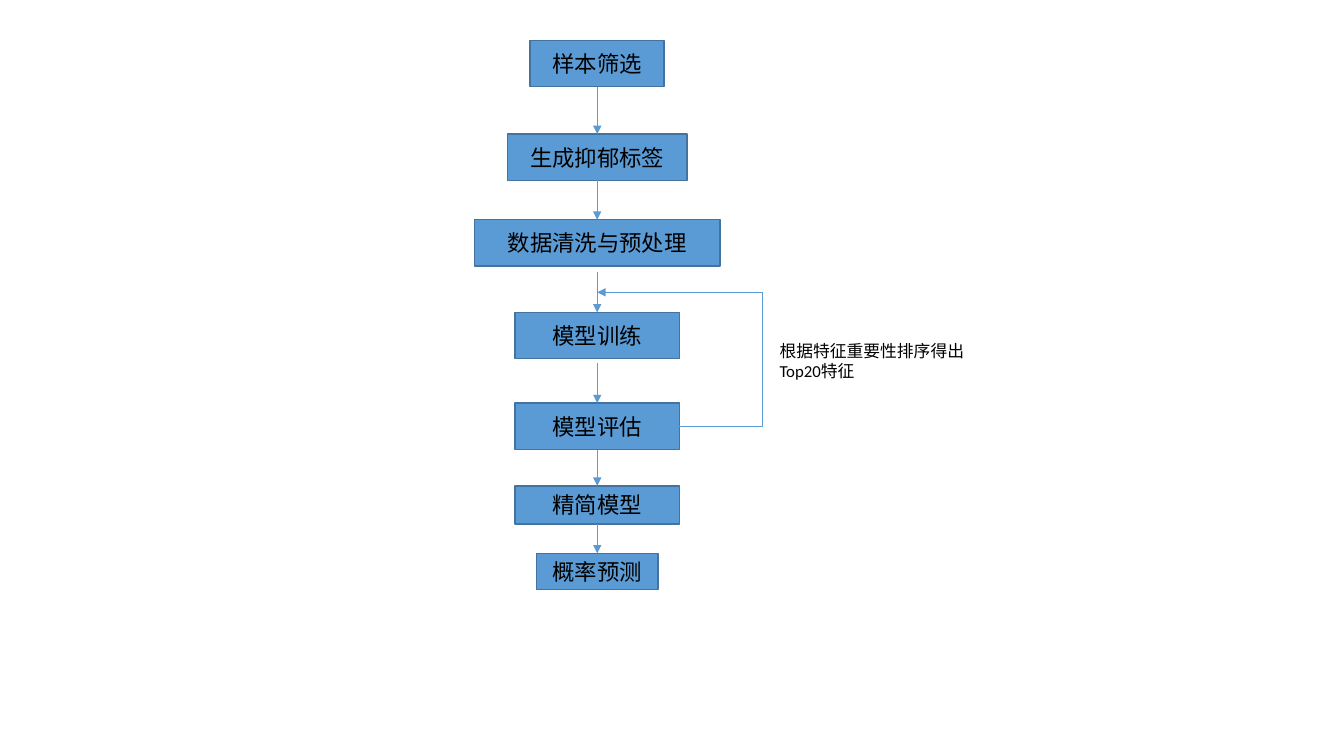
from collections import namedtuple

from lxml import etree
from pptx import Presentation
from pptx.dml.color import RGBColor
from pptx.enum.shapes import MSO_CONNECTOR, MSO_SHAPE
from pptx.enum.text import MSO_ANCHOR, PP_ALIGN
from pptx.oxml.ns import qn
from pptx.util import Inches, Pt

RECTANGLE = MSO_SHAPE.RECTANGLE
STRAIGHT, ELBOW = MSO_CONNECTOR.STRAIGHT, MSO_CONNECTOR.ELBOW
MIDDLE, CENTER = MSO_ANCHOR.MIDDLE, PP_ALIGN.CENTER
FONT = "Calibri"
BLUE, EDGE, BLACK = "5B9BD5", "43739E", "000000"

# All lengths are columns and rows of a grid with ten cells to the inch.
COLUMNS, ROWS = 133.33, 75
Box = namedtuple("Box", "left top width height")
Step = namedtuple("Step", "label top width height gap")

# Rows are counted from the top of the flow; gap lies between box and arrow.
STEPS = [
    Step("样本筛选", 0, 13.3, 4.6, 0),
    Step("生成抑郁标签", 9.3, 17.8, 4.6, 0),
    Step("数据清洗与预处理", 17.8, 24.4, 4.6, 0.6),
    Step("模型训练", 27, 16.3, 4.6, 0.4),
    Step("模型评估", 36, 16.3, 4.6, 0),
    Step("精简模型", 44.2, 16.3, 3.8, 0),
    Step("概率预测", 50.9, 12.1, 3.6, 0),
]
TRAINING, EVALUATION = STEPS[3], STEPS[4]


def cells(*counts):
    """Turn grid counts into lengths."""
    return [Inches(count / 10) for count in counts]


def color(hex_string):
    """Turn a hex string into a colour."""
    return RGBColor.from_string(hex_string)


def write(frame, text, size):
    """Set one paragraph of black text and return it."""
    frame.word_wrap = True
    para = frame.paragraphs[0]
    para.text = text
    para.font.name, para.font.size = FONT, Pt(size)
    para.font.color.rgb = color(BLACK)
    return para


def add_step(page, box, label):
    """Draw one labelled step that fills the box."""
    shape = page.shapes.add_shape(RECTANGLE, *cells(*box))
    shape.shadow.inherit = False
    shape.fill.solid()
    shape.fill.fore_color.rgb = color(BLUE)
    shape.line.color.rgb = color(EDGE)
    shape.line.width = Pt(1)
    shape.text_frame.vertical_anchor = MIDDLE
    write(shape.text_frame, label, 16).alignment = CENTER


def add_line(page, start, end, kind=STRAIGHT, arrow=True):
    """Connect two grid points, with an arrowhead at the end if wanted."""
    line = page.shapes.add_connector(kind, *cells(*start, *end))
    line.line.color.rgb = color(BLUE)
    line.line.width = Pt(0.5)
    properties = line._element.spPr
    if arrow:
        etree.SubElement(properties.find(qn("a:ln")), qn("a:tailEnd"), type="triangle")
    etree.SubElement(properties, qn("a:effectLst"))
    return line


def draw_flow(page, box):
    """Stack the steps on the box's centre line and join them with arrows."""
    center = box.left + box.width / 2
    for step in STEPS:
        add_step(page, Box(center - step.width / 2, box.top + step.top,
                           step.width, step.height), step.label)
    for step, following in zip(STEPS, STEPS[1:]):
        start = box.top + step.top + step.height + step.gap
        add_line(page, (center, start), (center, box.top + following.top))


def draw_feedback(page, box):
    """Lead from evaluation, at the lower edge, back to the arrow at the top left."""
    right, bottom = box.left + box.width, box.top + box.height
    start = box.left + EVALUATION.width / 2
    elbow = add_line(page, (start, bottom), (right, box.top), ELBOW, arrow=False)
    elbow._element.spPr.find(qn("a:prstGeom")).set("prst", "bentConnector2")
    add_line(page, (right, box.top), (box.left, box.top))


def draw_note(page, box):
    """Write the note on the feedback loop."""
    note = page.shapes.add_textbox(*cells(*box))
    write(note.text_frame, "根据特征重要性排序得出Top20特征", 12)


def build_flowchart(deck):
    """Add the flowchart page with its three regions."""
    page = deck.slides.add_slide(deck.slide_layouts[6])
    flow = Box(47.05, 4, 24.4, 54.5)
    center = flow.left + flow.width / 2
    loop_top = flow.top + TRAINING.top - 2
    loop_bottom = flow.top + EVALUATION.top + EVALUATION.height / 2
    loop = Box(center, loop_top, 16.4, loop_bottom - loop_top)
    draw_flow(page, flow)
    draw_feedback(page, loop)
    draw_note(page, Box(loop.left + loop.width + 0.7, loop.top + 4.3, 20.4, 5))


deck = Presentation()
deck.slide_width, deck.slide_height = cells(COLUMNS, ROWS)
build_flowchart(deck)
deck.save("out.pptx")
